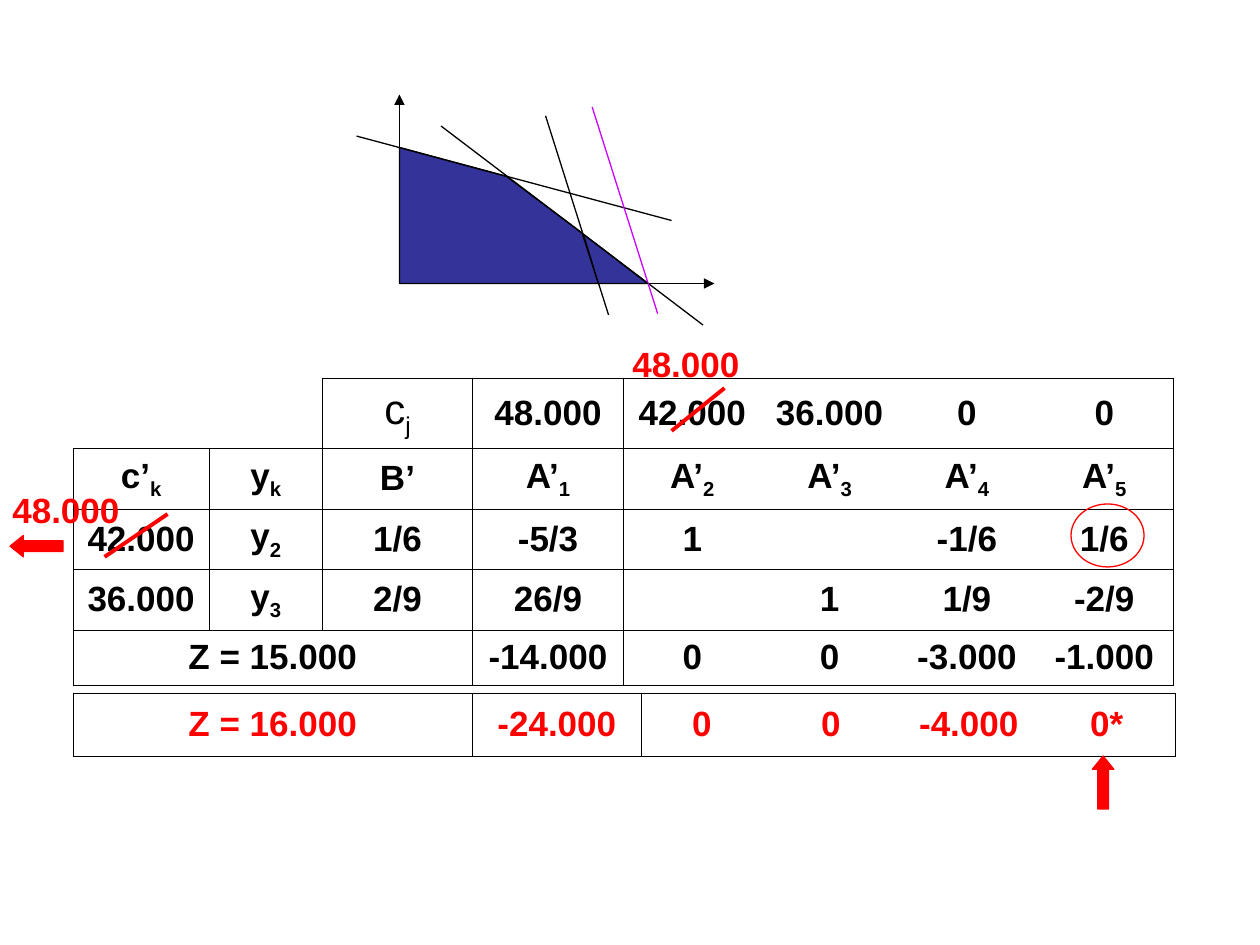
from pptx import Presentation
from pptx.dml.color import RGBColor
from pptx.enum.shapes import MSO_CONNECTOR, MSO_SHAPE
from pptx.enum.text import MSO_ANCHOR, MSO_AUTO_SIZE, PP_ALIGN
from pptx.oxml import parse_xml
from pptx.oxml.ns import nsdecls, qn
from pptx.oxml.xmlchemy import OxmlElement
from pptx.util import Inches, Pt

BLACK = RGBColor(0x00, 0x00, 0x00)
RED = RGBColor(0xFF, 0x00, 0x00)
NAVY = RGBColor(0x33, 0x33, 0x99)
PURPLE = RGBColor(0xCC, 0x00, 0xFF)
NO_GRID = "{2D5ABB26-0587-4C30-8999-92F81FD0307C}"


class SlideBuilder:
    """Draws styled elements on the current slide."""

    font = "Arial"
    size = 20
    thin = 0.75
    border = 0.45

    def __init__(self, slide):
        self.s = slide

    def set_text(self, p, text, color, size=size, bold=True):
        base, _, sub = text.partition("_")
        p.add_run().text = base
        if sub:
            r = p.add_run()
            r.text = sub
            r._r.get_or_add_rPr().set("baseline", "-25000")
        p.font.name = self.font
        p.font.size = Pt(size)
        p.font.bold = bold
        p.font.color.rgb = color

    def label(self, x, y, w, h, text):
        tf = self.s.shapes.add_textbox(Inches(x), Inches(y), Inches(w), Inches(h)).text_frame
        tf.word_wrap = True
        tf.auto_size = MSO_AUTO_SIZE.SHAPE_TO_FIT_TEXT
        self.set_text(tf.paragraphs[0], text, RED)

    def line(self, start, end, color=BLACK, width=thin, arrow=False):
        points = [Inches(v) for v in (*start, *end)]
        sp = self.s.shapes.add_connector(MSO_CONNECTOR.STRAIGHT, *points)
        sp.line.color.rgb = color
        sp.line.width = Pt(width)
        if arrow:
            tail = OxmlElement("a:tailEnd")
            tail.set("type", "triangle")
            sp.line._get_or_add_ln().append(tail)
        sp._element.spPr.append(OxmlElement("a:effectLst"))

    def style(self, sp, line, fill=None):
        sp.shadow.inherit = False
        sp.line.color.rgb = line
        sp.line.width = Pt(self.thin)
        if fill is None:
            sp.fill.background()
        else:
            sp.fill.solid()
            sp.fill.fore_color.rgb = fill

    def polygon(self, points):
        corners = [(Inches(x), Inches(y)) for x, y in points]
        builder = self.s.shapes.build_freeform(*corners[0])
        builder.add_line_segments(corners[1:], close=True)
        self.style(builder.convert_to_shape(), BLACK, NAVY)

    def shape(self, kind, x, y, w, h, fill=None, adjustments=()):
        sp = self.s.shapes.add_shape(kind, Inches(x), Inches(y), Inches(w), Inches(h))
        for i, value in enumerate(adjustments):
            sp.adjustments[i] = value
        self.style(sp, RED, fill)

    def edges(self, cell, sides):
        tcPr = cell._tc.get_or_add_tcPr()
        for i, side in enumerate(sides):
            tcPr.insert(i, parse_xml(
                f'<a:ln{side} {nsdecls("a")} w="{Pt(self.border)}"><a:solidFill>'
                f'<a:srgbClr val="{BLACK}"/></a:solidFill></a:ln{side}>'))

    def table(self, x, y, widths, heights, rows, row_groups, col_groups, color, margin, merge=None):
        """Fills a table and outlines each block of row and column groups."""
        gf = self.s.shapes.add_table(len(heights), len(widths), Inches(x), Inches(y),
                                     Inches(sum(widths)), Inches(sum(heights)))
        table = gf.table
        table.first_row = table.horz_banding = False
        table._tbl.tblPr.find(qn("a:tableStyleId")).text = NO_GRID
        for column, width in zip(table.columns, widths):
            column.width = Inches(width)
        for row, height in zip(table.rows, heights):
            row.height = Inches(height)
        if merge:
            table.cell(*merge[0]).merge(table.cell(*merge[1]))
        for r, texts in enumerate(rows):
            for c, text in enumerate(texts):
                cell = table.cell(r, c)
                cell.fill.background()
                if text is None or cell.is_spanned:
                    continue
                cell.vertical_anchor = MSO_ANCHOR.MIDDLE
                cell.margin_left = cell.margin_right = Inches(margin)
                cell.margin_top = cell.margin_bottom = Inches(0.05)
                last = c + (cell.span_width if cell.is_merge_origin else 1)
                on_edge = {"L": c in col_groups, "R": last in col_groups,
                           "T": r in row_groups, "B": r + 1 in row_groups}
                self.edges(cell, [side for side, drawn in on_edge.items() if drawn])
                p = cell.text_frame.paragraphs[0]
                p.alignment = PP_ALIGN.CENTER
                if text == "c_j":
                    self.set_text(p, text, color, size=24, bold=False)
                elif text:
                    self.set_text(p, text, color)


def main():
    prs = Presentation()
    prs.slide_width, prs.slide_height = Inches(10), Inches(7.5)
    b = SlideBuilder(prs.slides.add_slide(prs.slide_layouts[6]))

    simplex_rows = [
        [None, None, "c_j", "48.000", "42.000", "36.000", "0", "0"],
        ["c’_k", "y_k", "B’"] + [f"A’_{i}" for i in range(1, 6)],
        ["42.000", "y_2", "1/6", "-5/3", "1", "", "-1/6", "1/6"],
        ["36.000", "y_3", "2/9", "26/9", "", "1", "1/9", "-2/9"],
        ["Z = 15.000", "", "", "-14.000", "0", "0", "-3.000", "-1.000"],
    ]
    b.table(0.58, 3, [1.08, 0.9, 1.19, 1.2] + [1.09] * 4, [0.56, 0.48, 0.48, 0.48, 0.44],
            simplex_rows, {0, 1, 2, 4, 5}, {0, 1, 2, 3, 8}, BLACK, 0.05, ((4, 0), (4, 2)))

    origin, optimum, crossing = (3.17, 2.25), (4.75, 2.25), (4.62, 1.85)
    b.line(origin, (3.17, 0.75), arrow=True)
    b.polygon([origin, (3.17, 1.17), (4.02, 1.4), crossing, optimum])
    b.line(origin, (5.67, 2.25), arrow=True)
    b.line((2.83, 1.08), (5.33, 1.75))
    b.line((3.5, 1), (5.58, 2.58))
    b.line((4.83, 2.5), (4.33, 0.92))
    b.line((5.22, 2.49), (4.7, 0.85), PURPLE)

    b.line((5.33, 3.42), (5.75, 3.08), RED, 2.25)
    b.label(4.92, 2.67, 1.5, 0.44, "48.000")
    b.line((0.83, 4.42), (1.33, 4.08), RED, 2.25)
    b.label(0, 3.83, 1.67, 0.44, "48.000")

    b.table(0.58, 5.5, [3.17, 1.34, 0.96, 1.09, 1.1, 1.09], [0.5],
            [["Z = 16.000", "-24.000", "0", "0", "-4.000", "0*"]],
            {0, 1}, {0, 1, 6}, RED, 0.1)

    b.polygon([optimum, (4.63, 1.86), (5.14, 2.25)])
    b.shape(MSO_SHAPE.UP_ARROW, 8.67, 6, 0.17, 0.42, RED, (0.5, 0.62))
    b.shape(MSO_SHAPE.OVAL, 8.5, 4, 0.58, 0.5)
    b.shape(MSO_SHAPE.LEFT_ARROW, 0.08, 4.25, 0.42, 0.17, RED, (0.5, 0.62))

    prs.save("out.pptx")


if __name__ == "__main__":
    main()
